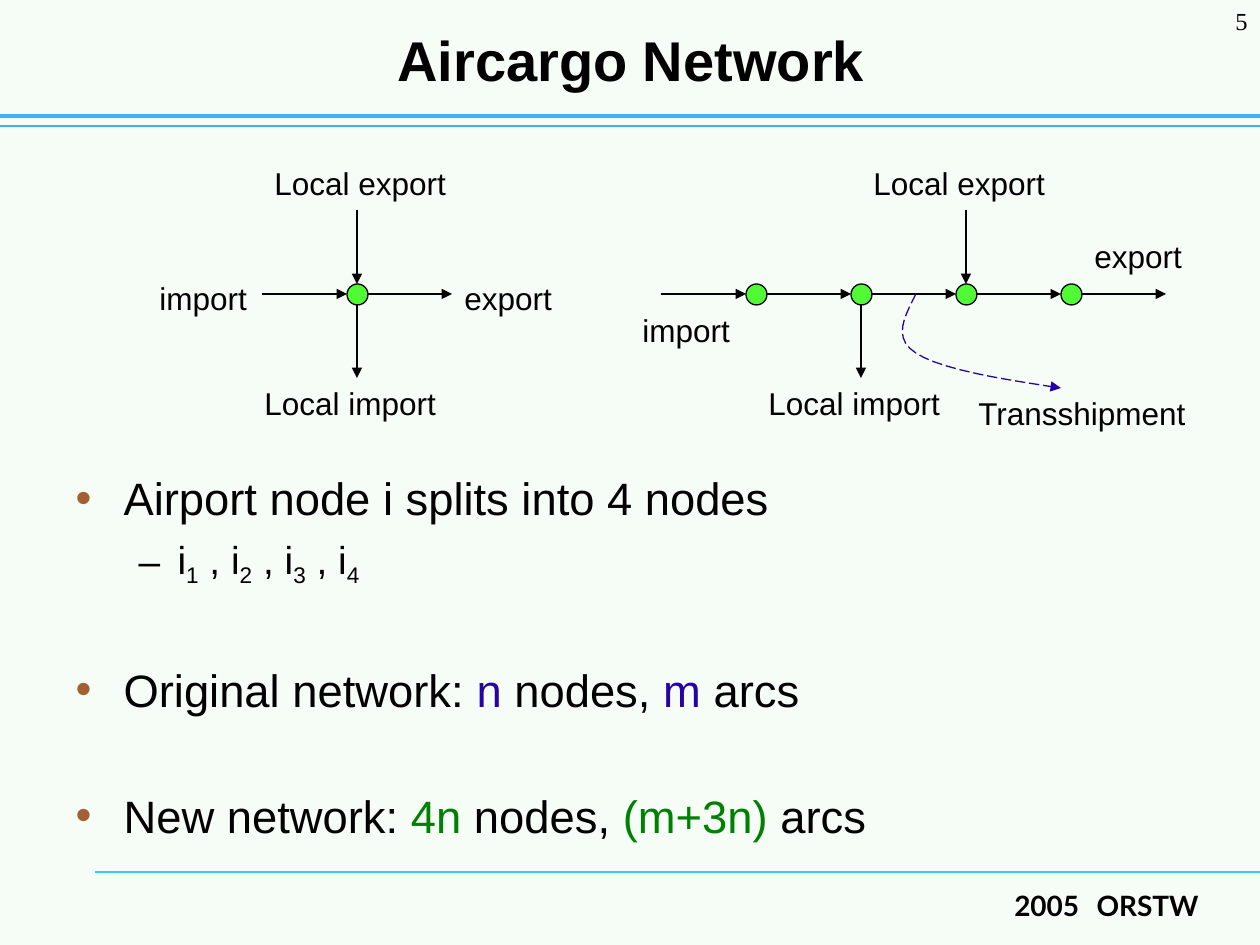
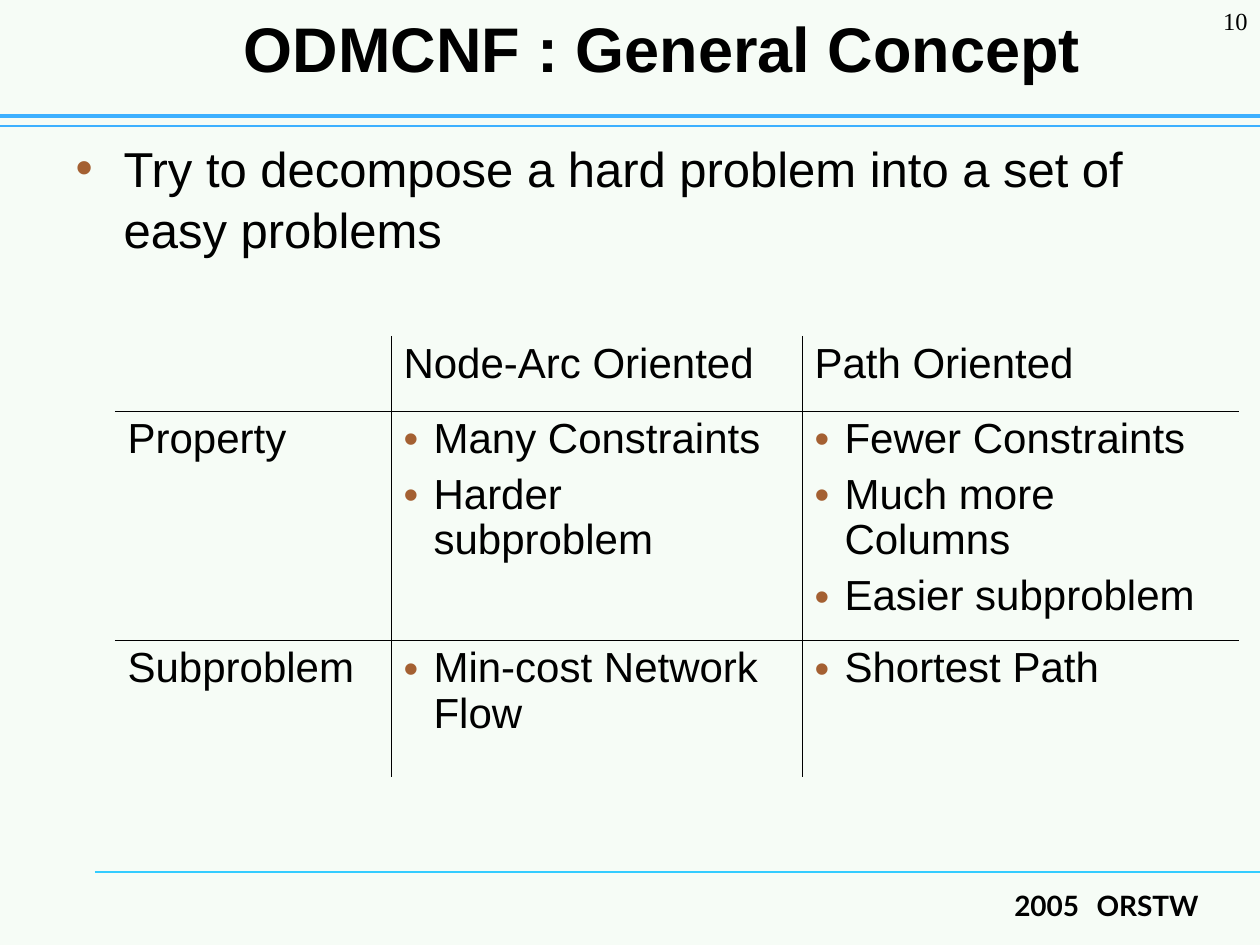
import lxml.etree
import pptx
import pptx.dml.color
import pptx.enum.dml
import pptx.enum.shapes
import pptx.enum.text
import pptx.oxml
import pptx.oxml.ns
import pptx.util

PX = 7257  # EMU in one px, 126 px to the inch
COLORS = {
    "background": "F6FCF6", "text": "000000", "band": "3DB0FF", "footer line": "33CCFF",
    "bullet": "A46032", "node": "50FA34", "blue": "2603A5", "green": "008000",
}
RGB = {name: pptx.dml.color.RGBColor.from_string(value) for name, value in COLORS.items()}
Pt = pptx.util.Pt
ALIGN = pptx.enum.text.PP_ALIGN
qn = pptx.oxml.ns.qn


def add_line(slide, start_x, start_y, end_x, end_y, color="text", width=0.75, arrow=False):
    line = slide.shapes.add_connector(
        pptx.enum.shapes.MSO_CONNECTOR.STRAIGHT,
        start_x * PX, start_y * PX, end_x * PX, end_y * PX)
    line.line.color.rgb = RGB[color]
    line.line.width = Pt(width)
    if arrow:
        lxml.etree.SubElement(line.line._get_or_add_ln(), qn("a:tailEnd"), type="triangle")
    lxml.etree.SubElement(line._element.spPr, qn("a:effectLst"))


def format_paragraph(paragraph, size, bullet=None, color="bullet", indent=0, left=None):
    """Set an optional hanging bullet, then the text font; indent and left are in px."""
    properties = paragraph._p.get_or_add_pPr()
    if bullet:
        properties.set("marL", str((left or indent) * PX))
        properties.set("indent", str(-indent * PX))
        bullet_color = lxml.etree.SubElement(properties, qn("a:buClr"))
        lxml.etree.SubElement(bullet_color, qn("a:srgbClr"), val=COLORS[color])
        lxml.etree.SubElement(properties, qn("a:buFont"), typeface="Arial")
        lxml.etree.SubElement(properties, qn("a:buChar"), char=bullet)
    paragraph.font.name = "Arial"
    paragraph.font.size = Pt(size)
    paragraph.font.color.rgb = RGB["text"]


presentation = pptx.Presentation()
presentation.slide_width = 1260 * PX
presentation.slide_height = 945 * PX
background = presentation.slide_master.background.fill
background.solid()
background.fore_color.rgb = RGB["background"]

# Shared frame: bands, title, body, footer and page number
SLIDES = [
    ("Aircargo Network", 32, (64, 15, 1134, 89), (63, 464, 1163, 406), "5"),
    ("ODMCNF : General Concept", 36, (158, 0, 1008, 95), (63, 130, 1163, 180), "10"),
]
for title, title_size, title_box, body_box, number in SLIDES:
    slide = presentation.slides.add_slide(presentation.slide_layouts[1])
    add_line(slide, 95, 872, 1260, 872, "footer line")
    add_line(slide, 0, 126, 1260, 126, "band")
    add_line(slide, 0, 116, 1260, 116, "band", 2.5)

    for placeholder, box in zip(slide.placeholders, (title_box, body_box)):
        placeholder.left, placeholder.top, placeholder.width, placeholder.height = (
            length * PX for length in box)
        placeholder.text_frame.auto_size = pptx.enum.text.MSO_AUTO_SIZE.NONE
    slide.shapes.title.text_frame.text = title
    slide.shapes.title.text_frame.vertical_anchor = pptx.enum.text.MSO_ANCHOR.MIDDLE
    paragraph = slide.shapes.title.text_frame.paragraphs[0]
    paragraph.alignment = ALIGN.CENTER
    format_paragraph(paragraph, title_size)
    paragraph.font.bold = True

    for words, box, font, size, bold in [
        (("2005", " ", "ORSTW"), (231, 882, 980, 63), "Lato", 16, True),
        ((number,), (1155, 0, 105, 63), "Times New Roman", 14, False),
    ]:
        text_box = slide.shapes.add_textbox(*(length * PX for length in box))
        text_box.text_frame.word_wrap = True
        paragraph = text_box.text_frame.paragraphs[0]
        paragraph.alignment = ALIGN.RIGHT
        format_paragraph(paragraph, size)
        paragraph.font.name = font
        paragraph.font.bold = bold
        for word in words:
            run = paragraph.add_run()
            run.text = word
            if word == " ":
                run._r.get_or_add_rPr().set("spc", "620")

network_slide, concept_slide = presentation.slides

# Network slide: list
NETWORK_LIST = [
    (0, 0, [("Airport node i splits into 4 nodes", None)]),
    (1, 6, [("i", None), ("1", "sub"), (" , i", None), ("2", "sub"),
            (" , i", None), ("3", "sub"), (" , i", None), ("4", "sub")]),
    (0, 42, [("Original network: ", None), ("n", "blue"), (" nodes, ", None),
             ("m", "blue"), (" arcs", None)]),
    (0, 41, [("New network: ", None), ("4n", "green"), (" nodes, ", None),
             ("(m+3n)", "green"), (" arcs", None)]),
]
frame = network_slide.placeholders[1].text_frame
for index, (level, space, runs) in enumerate(NETWORK_LIST):
    paragraph = frame.add_paragraph() if index else frame.paragraphs[0]
    paragraph.level = level
    paragraph.space_before = Pt(space)
    if level:
        format_paragraph(paragraph, 22.2, "–", "text", 39, 102)
    else:
        format_paragraph(paragraph, 25.9, "•", indent=48)
    for text, style in runs:
        run = paragraph.add_run()
        run.text = text
        if style == "sub":
            run._r.get_or_add_rPr().set("baseline", "-25000")
        elif style:
            run.font.color.rgb = RGB[style]

# Network slide: one airport node, then the four nodes it splits into
AXIS, RADIUS, ARROW_REACH = 294, 10, 95
SPLIT_NODES = [756 + 105 * index for index in range(4)]
for nodes, export_node, import_node in [([357], 357, 357),
                                        (SPLIT_NODES, SPLIT_NODES[2], SPLIT_NODES[1])]:
    for node in nodes:
        circle = network_slide.shapes.add_shape(
            pptx.enum.shapes.MSO_SHAPE.OVAL, (node - RADIUS) * PX, (AXIS - RADIUS) * PX,
            (2 * RADIUS + 1) * PX, (2 * RADIUS + 1) * PX)
        circle.shadow.inherit = False
        circle.fill.solid()
        circle.fill.fore_color.rgb = RGB["node"]
        circle.line.color.rgb = RGB["text"]
        circle.line.width = Pt(0.75)
        add_line(network_slide, node - ARROW_REACH, AXIS, node - RADIUS, AXIS, arrow=True)
    add_line(network_slide, nodes[-1] + RADIUS, AXIS, nodes[-1] + ARROW_REACH, AXIS, arrow=True)
    add_line(network_slide, export_node, 210, export_node, AXIS - RADIUS, arrow=True)
    add_line(network_slide, import_node, AXIS + RADIUS, import_node, 378, arrow=True)

# Transshipment arc, two Bezier curves drawn in short steps
STEPS = 10
arc_points = []
for curve in [((916, 294), (905, 316), (892, 338), (916, 353)),
              ((916, 353), (940, 369), (1000, 379), (1061, 388))]:
    for step in range(1, STEPS + 1):
        t = step / STEPS
        weights = ((1 - t) ** 3, 3 * t * (1 - t) ** 2, 3 * t ** 2 * (1 - t), t ** 3)
        arc_points.append(tuple(
            round(PX * sum(weight * point[axis] for weight, point in zip(weights, curve)))
            for axis in (0, 1)))
builder = network_slide.shapes.build_freeform(916 * PX, AXIS * PX)
builder.add_line_segments(arc_points, close=False)
arc = builder.convert_to_shape()
arc.shadow.inherit = False
arc.fill.background()
arc.line.color.rgb = RGB["blue"]
arc.line.width = Pt(0.75)
arc.line.dash_style = pptx.enum.dml.MSO_LINE.LONG_DASH
lxml.etree.SubElement(arc.line._get_or_add_ln(), qn("a:tailEnd"), type="triangle")

LABELS = [
    ("Local export", 210, [(262, 158), (861, 158)]),
    ("Local import", 210, [(252, 378), (756, 378)]),
    ("import", 125, [(147, 273), (630, 305)]),
    ("export", 125, [(452, 273), (1082, 231)]),
    ("Transshipment", 245, [(966, 388)]),
]
for text, width, places in LABELS:
    for left, top in places:
        label = network_slide.shapes.add_textbox(left * PX, top * PX, width * PX, 50 * PX)
        label.text_frame.word_wrap = True
        label.text_frame.text = text
        format_paragraph(label.text_frame.paragraphs[0], 18)

# Concept slide: statement and comparison table
frame = concept_slide.placeholders[1].text_frame
frame.text = "Try to decompose a hard problem into a set of easy problems"
paragraph = frame.paragraphs[0]
paragraph.space_before = Pt(0)
paragraph.line_spacing = 1.04
format_paragraph(paragraph, 28, "•", indent=48)

COMPARISON = [
    ([], ["Node-Arc Oriented"], ["Path Oriented"]),
    (["Property"], ["Many Constraints", "Harder subproblem"],
     ["Fewer Constraints", "Much more Columns", "Easier subproblem"]),
    (["Subproblem"], ["Min-cost Network Flow"], ["Shortest Path"]),
]
COLUMN_WIDTHS = (276, 411, 437)
ROW_HEIGHTS = (75, 221, 137)
table = concept_slide.shapes.add_table(
    3, 3, 115 * PX, 336 * PX, sum(COLUMN_WIDTHS) * PX, sum(ROW_HEIGHTS) * PX).table
table.first_row = False
table.horz_banding = False
for column, width in zip(table.columns, COLUMN_WIDTHS):
    column.width = width * PX
for row, height in zip(table.rows, ROW_HEIGHTS):
    row.height = height * PX

for row_index, row in enumerate(COMPARISON):
    for column_index, lines in enumerate(row):
        cell = table.cell(row_index, column_index)
        is_listed = row_index > 0 and column_index > 0
        for index, text in enumerate(lines):
            paragraph = cell.text_frame.add_paragraph() if index else cell.text_frame.paragraphs[0]
            paragraph.text = text
            paragraph.line_spacing = 0.97
            paragraph.space_before = Pt(6 if index else 0)
            format_paragraph(paragraph, 24, "•" if is_listed else None, indent=30)

        properties = cell._tc.get_or_add_tcPr()
        for side, is_inner in [("L", column_index > 0), ("R", column_index < 2),
                               ("T", row_index > 0), ("B", row_index < 2)]:
            border = lxml.etree.SubElement(properties, qn("a:ln" + side), w=str(Pt(0.45)))
            if is_inner:
                fill = lxml.etree.SubElement(border, qn("a:solidFill"))
                lxml.etree.SubElement(fill, qn("a:srgbClr"), val=COLORS["text"])
            else:
                lxml.etree.SubElement(border, qn("a:noFill"))
        cell.fill.background()

presentation.save("out.pptx")
